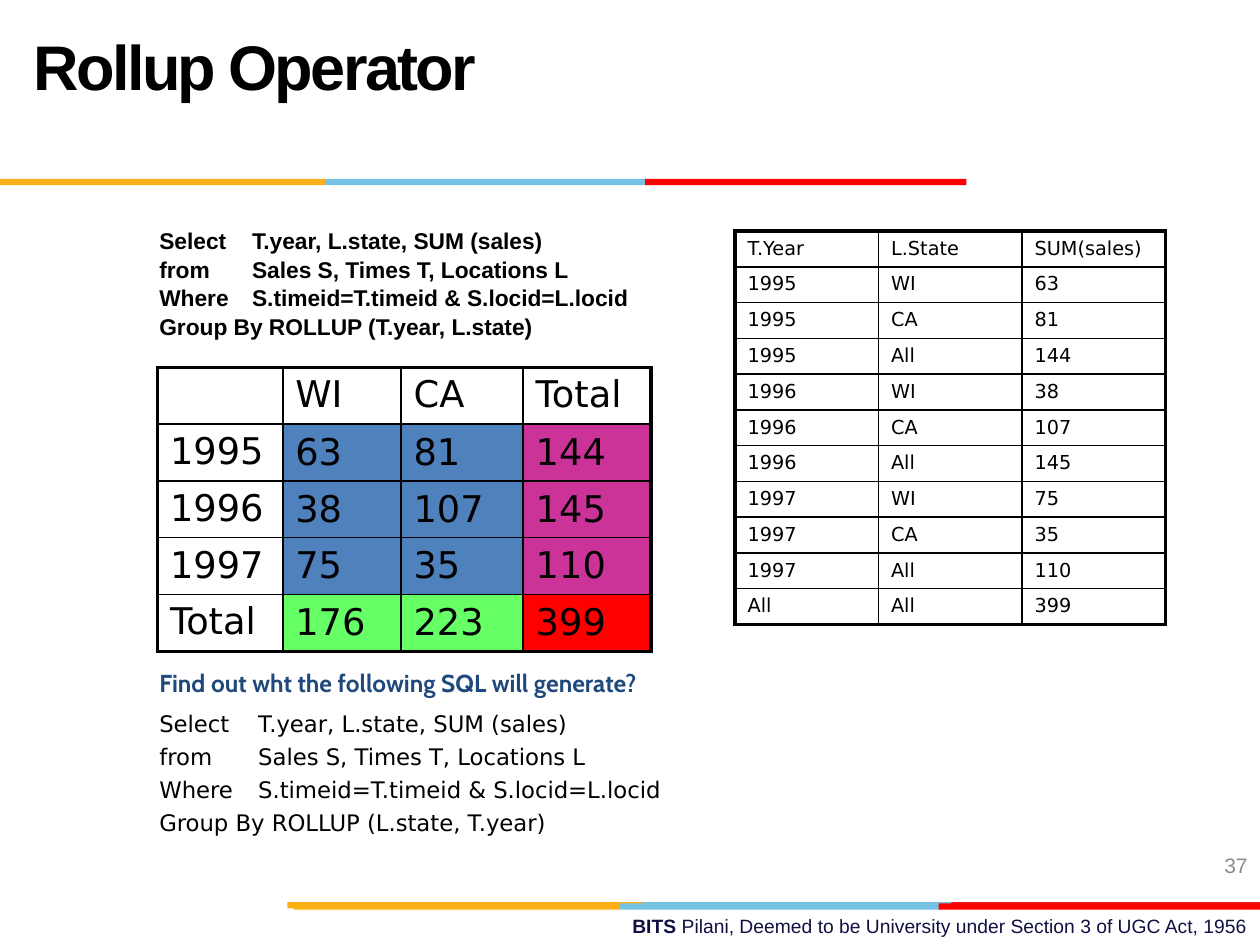
from lxml import etree
from pptx import Presentation
from pptx import util as u
from pptx.dml.color import RGBColor
from pptx.enum import shapes, text
from pptx.oxml import ns

Pt = u.Pt
BLACK, AMBER, SKY, RED = "000000", "FCB017", "76C2E5", "FF0000"
BLUE, MAGENTA, GREEN = "4F81BD", "CC3399", "66FF66"


def format_font(font, colour, **values):
    for name, value in values.items():
        setattr(font, name, value)
    font.color.rgb = RGBColor.from_string(colour)


def add_text_box(box, lines, colour, gap=0, tab=None, align=text.PP_ALIGN.LEFT, **values):
    """Add a wrapped box; gap separates its lines, tab is a stop in points."""
    frame = slide.shapes.add_textbox(*map(Pt, box)).text_frame
    frame.word_wrap = True
    for number, line in enumerate(lines):
        paragraph = frame.paragraphs[0] if number == 0 else frame.add_paragraph()
        if tab:
            stops = etree.SubElement(paragraph._p.get_or_add_pPr(), ns.qn("a:tabLst"))
            etree.SubElement(stops, ns.qn("a:tab"), pos=str(Pt(tab)), algn="l")
        paragraph.alignment = align
        if number:
            paragraph.space_before = Pt(gap)
        run = paragraph.add_run()
        run.text = line
        format_font(run.font, colour, **values)
    return frame


presentation = Presentation()
presentation.slide_width, presentation.slide_height = Pt(720), Pt(540)
slide = presentation.slides.add_slide(presentation.slide_layouts[5])

# Title
title = slide.shapes.title
title.left, title.top, title.width, title.height = map(Pt, (12, 12, 576, 90))
title.text_frame.text = "Rollup Operator"
title.text_frame.vertical_anchor = text.MSO_ANCHOR.TOP
paragraph = title.text_frame.paragraphs[0]
paragraph.alignment = text.PP_ALIGN.LEFT
run = paragraph.runs[0]
format_font(run.font, BLACK, name="Arial", size=Pt(36), bold=True)
run._r.get_or_add_rPr().set("spc", "-150")

# Coloured bars: left, top, width, colour
bars = [
    (364.3, 515.5, 183.6, SKY), (543.6, 515.5, 176.4, "E31C24"), (164.2, 515.5, 203, AMBER),
    (354, 516.2, 183.6, SKY), (168, 516.2, 186, AMBER), (536.4, 516.2, 183.6, RED),
    (185.8, 102.2, 183.6, SKY), (0, 102.2, 185.8, AMBER), (368.6, 102.2, 183.6, RED),
]
for left, top, width, colour in bars:
    bar = slide.shapes.add_shape(
        shapes.MSO_SHAPE.RECTANGLE, Pt(left), Pt(top), Pt(width), Pt(3.6))
    bar.shadow.inherit = False
    bar.fill.solid()
    bar.fill.fore_color.rgb = RGBColor.from_string(colour)
    bar.line.fill.background()

# Footer and slide number
footer_font = {"name": "Arial", "size": Pt(11)}
footer = add_text_box((257.8, 519.1, 462.2, 20.9), ["BITS "], "101141",
                      align=text.PP_ALIGN.RIGHT, bold=True, **footer_font)
run = footer.paragraphs[0].add_run()
run.text = "Pilani, Deemed to be University under Section 3 of UGC Act, 1956"
format_font(run.font, "101141", bold=False, **footer_font)
number_frame = add_text_box((552, 480, 168, 28.8), ["37"], "8C8C8C",
                            align=text.PP_ALIGN.RIGHT, name="Arial", size=Pt(12))
number_frame.vertical_anchor = text.MSO_ANCHOR.MIDDLE

# Queries
query = [
    "Select\tT.year, L.state, SUM (sales)",
    "from\tSales S, Times T, Locations L",
    "Where\tS.timeid=T.timeid & S.locid=L.locid",
]
add_text_box((84, 126, 360, 114.5), query + ["Group By ROLLUP (T.year, L.state)"], BLACK,
             gap=0.8, tab=53, name="Arial", size=Pt(13), bold=True)
add_text_box((84, 378, 624, 24), ["Find out wht the following SQL will generate?"], "1F497D",
             name="Cabin", size=Pt(14), bold=True)
add_text_box((84, 402, 360, 114.5), query + ["Group By ROLLUP (L.state, T.year)"], BLACK,
             gap=3.2, tab=56.5, name="DejaVu Sans", size=Pt(13))

# Cross table and the rollup rows that list the same sums
cross_rows = [
    ["", "WI", "CA", "Total"],
    ["1995", "63", "81", "144"],
    ["1996", "38", "107", "145"],
    ["1997", "75", "35", "110"],
    ["Total", "176", "223", "399"],
]
cross_fills = [[None] * 4] + [[None, BLUE, BLUE, MAGENTA]] * 3 + [[None, GREEN, GREEN, RED]]
rollup_rows = [["T.Year", "L.State", "SUM(sales)"]]
for year, *sums in cross_rows[1:4]:
    rollup_rows += [[year, state, total] for state, total in zip(("WI", "CA", "All"), sums)]
rollup_rows.append(["All", "All", cross_rows[-1][-1]])
rollup_fills = [[None] * 3] * len(rollup_rows)

tables = [
    (90, 210, [71.6, 67.6, 69.8, 73], 32.4, 21, cross_rows, cross_fills),
    (420, 132, [82] * 3, 20.4, 11, rollup_rows, rollup_fills),
]
for left, top, widths, row_height, size, rows, fills in tables:
    table = slide.shapes.add_table(
        len(rows), len(widths), Pt(left), Pt(top),
        Pt(sum(widths)), Pt(row_height * len(rows))).table
    table.first_row = table.horz_banding = False
    for column, width in zip(table.columns, widths):
        column.width = Pt(width)
    for r, values in enumerate(rows):
        table.rows[r].height = Pt(row_height)
        for c, value in enumerate(values):
            cell = table.cell(r, c)
            outer_edges = {"lnL": c == 0, "lnR": c == len(widths) - 1,
                           "lnT": r == 0, "lnB": r == len(rows) - 1}
            for edge, outer in outer_edges.items():
                border = etree.SubElement(cell._tc.get_or_add_tcPr(), ns.qn("a:" + edge),
                                          w=str(Pt(2.25 if outer else 1)))
                fill = etree.SubElement(border, ns.qn("a:solidFill"))
                etree.SubElement(fill, ns.qn("a:srgbClr"), val=BLACK)
            if fills[r][c]:
                cell.fill.solid()
                cell.fill.fore_color.rgb = RGBColor.from_string(fills[r][c])
                cell.vertical_anchor = text.MSO_ANCHOR.MIDDLE
            else:
                cell.fill.background()
            if value:
                run = cell.text_frame.paragraphs[0].add_run()
                run.text = value
                format_font(run.font, BLACK, name="DejaVu Sans", size=Pt(size))

presentation.save("out.pptx")
